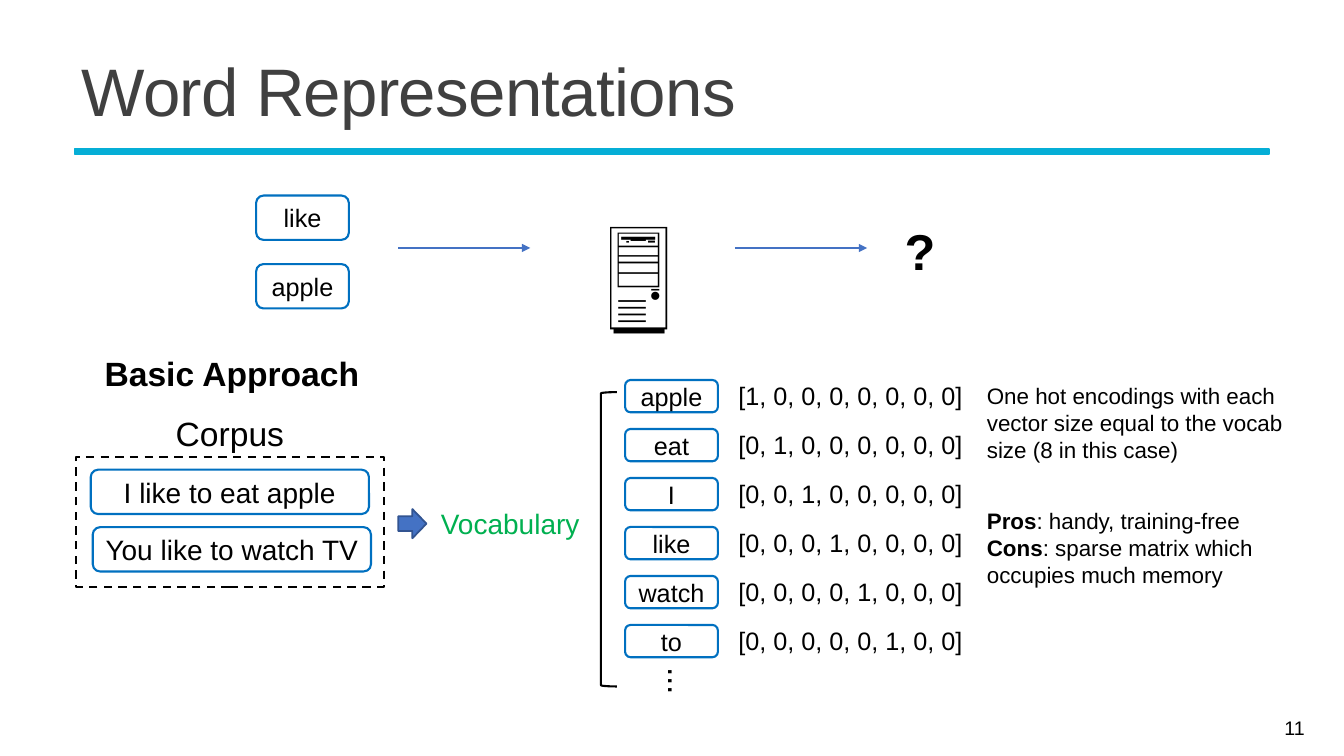
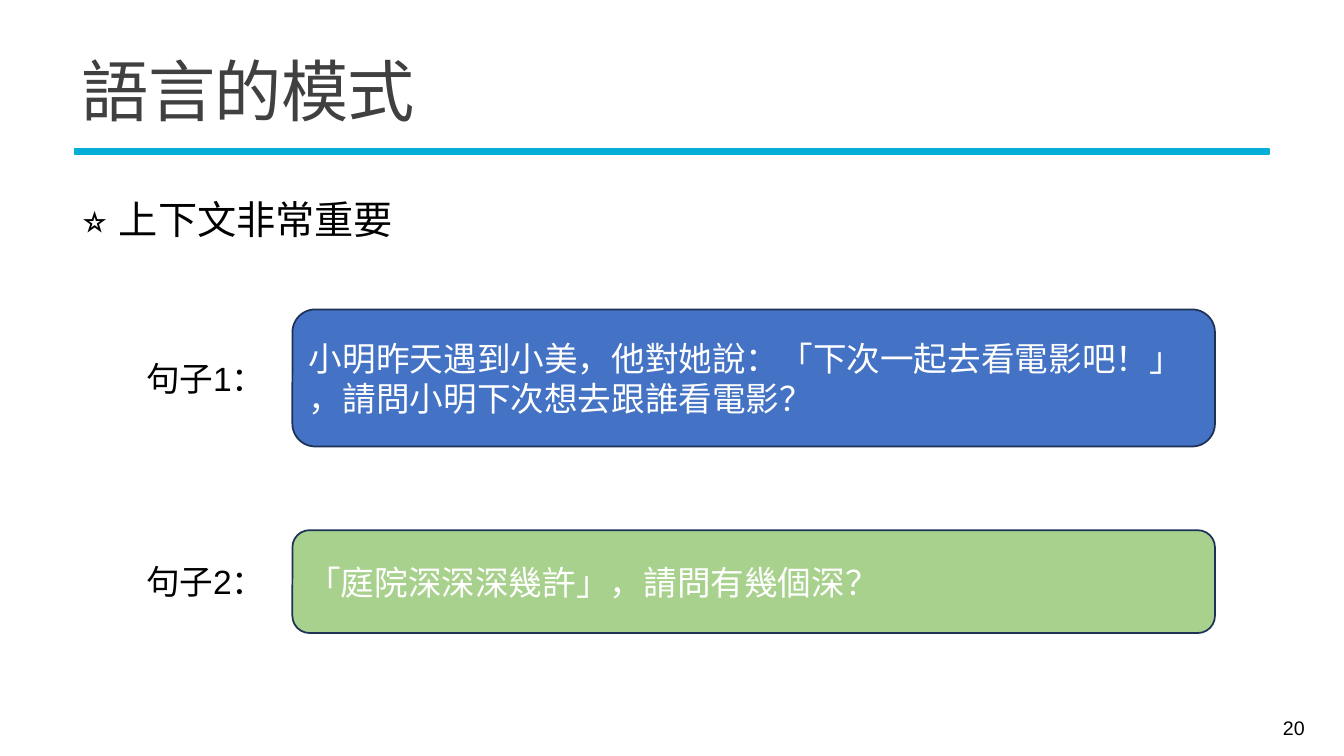
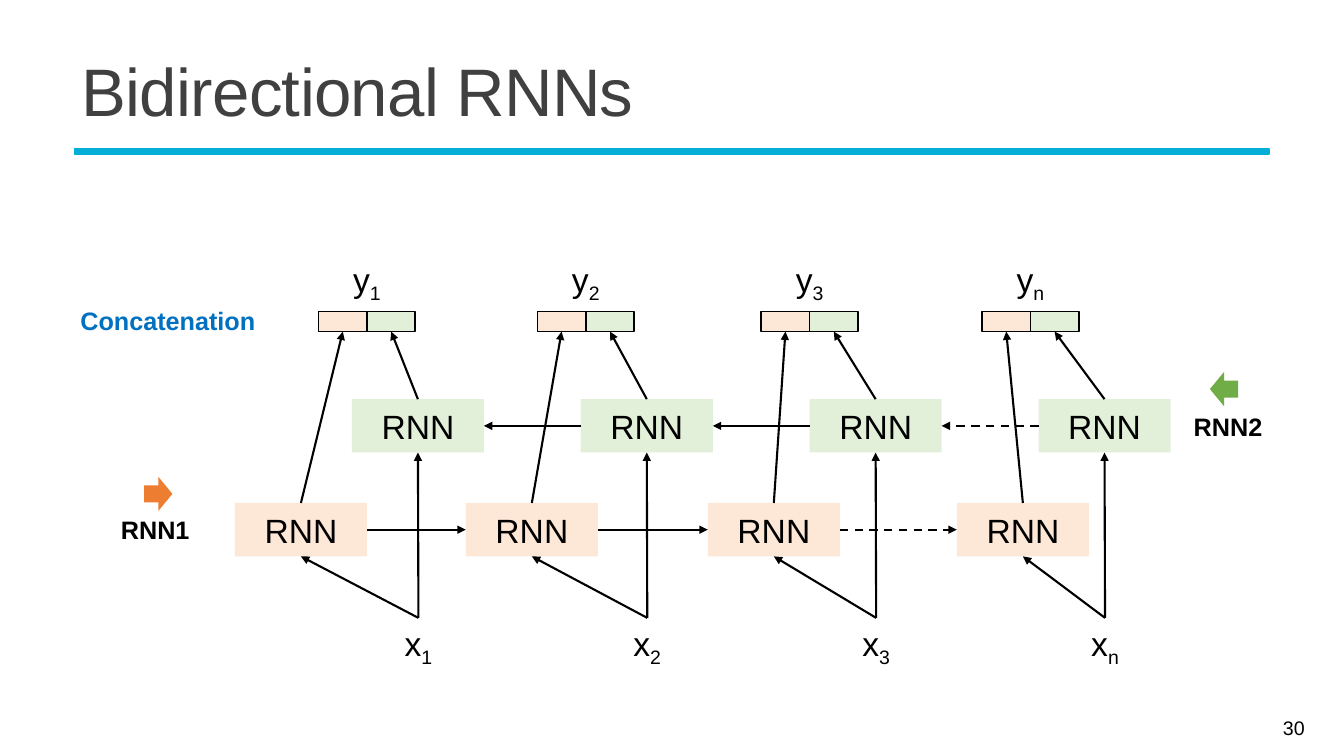
import lxml.etree
import pptx
import pptx.dml.color
import pptx.enum.dml
import pptx.enum.shapes
import pptx.enum.text
import pptx.oxml.ns
import pptx.util

Inches = pptx.util.Inches
Pt = pptx.util.Pt
RGB = pptx.dml.color.RGBColor.from_string
qn = pptx.oxml.ns.qn
KIND = pptx.enum.shapes.MSO_SHAPE
ALIGN = pptx.enum.text.PP_ALIGN
ANCHOR = pptx.enum.text.MSO_ANCHOR
FIT = pptx.enum.text.MSO_AUTO_SIZE
DASH = pptx.enum.dml.MSO_LINE.DASH
FONT = "Arial"
HUES = {
    "black": "000000", "white": "FFFFFF", "gray": "404040",
    "cyan": "05AED6", "blue": "0070C0", "steel": "4472C4",
    "edge": "325491", "navy": "1E3256", "lime": "A9D18E",
    "green": "00B050", "leaf": "70AD47", "orange": "ED7D31",
    "peach": "FDE7D7", "mint": "E2F0D9",
}


def box(slide, kind, at, text="", size=18, hue="black", bold=False,
        align=ALIGN.CENTER, fill=None, line=None, width=1.25):
    place = [Inches(n) for n in at]
    if kind == "title":
        shape = slide.shapes.title
        shape.left, shape.top, shape.width, shape.height = place
    elif kind == "text":
        shape = slide.shapes.add_textbox(*place)
    else:
        shape = slide.shapes.add_shape(kind, *place)
        shape.shadow.inherit = False
        if fill:
            shape.fill.solid()
            shape.fill.fore_color.rgb = RGB(HUES[fill])
        else:
            shape.fill.background()
        if line:
            shape.line.color.rgb = RGB(HUES[line])
            shape.line.width = Pt(width)
        else:
            shape.line.fill.background()
    if not text:
        return shape
    frame = shape.text_frame
    frame.word_wrap = True
    frame.auto_size = FIT.NONE
    frame.vertical_anchor = ANCHOR.TOP if kind == "text" else ANCHOR.MIDDLE
    frame.text = text
    for para in frame.paragraphs:
        para.alignment = align
        head, *rest = para.text.split("|")
        para.text = head
        for part in rest:
            para.add_run().text = part
        for run in para.runs:
            run.font.size = Pt(size)
            run.font.bold = bold
            run.font.color.rgb = RGB(HUES[hue])
            run.font.name = FONT
            props = run._r.get_or_add_rPr()
            lxml.etree.SubElement(props, qn("a:ea"), typeface=FONT)
    return shape


def link(slide, hue, start=(0, 0), end=(0, 0), dash=False):
    ends = [Inches(n) for n in (*start, *end)]
    wire = slide.shapes.add_connector(
        pptx.enum.shapes.MSO_CONNECTOR.STRAIGHT, *ends)
    wire.line.color.rgb = RGB(HUES[hue])
    wire.line.width = Pt(1.5)
    if dash:
        wire.line.dash_style = DASH
    lxml.etree.SubElement(wire.line._get_or_add_ln(), qn("a:tailEnd"), type="triangle")
    lxml.etree.SubElement(wire._element.spPr, qn("a:effectLst"))
    return wire


deck = pptx.Presentation()
deck.slide_width = Inches(13.33)
deck.slide_height = Inches(7.5)
slides = []
for name, page in (("Word Representations", "11"), ("語言的模式", "20"),
                   ("Bidirectional RNNs", "30")):
    slide = deck.slides.add_slide(deck.slide_layouts[5])
    box(slide, KIND.RECTANGLE, (0.74, 1.48, 11.85, 0.05), fill="cyan", line="cyan")
    title = box(slide, "title", (0.71, 0.39, 11.94, 1.13), name, 48, "gray",
                align=ALIGN.LEFT)
    para = title.text_frame.paragraphs[0]
    para.line_spacing = 0.85
    para.runs[0]._r.get_or_add_rPr().set("spc", "-50")
    foot = box(slide, "text", (11.61, 7.02, 1.43, 0.4), page, 14, align=ALIGN.RIGHT)
    foot.text_frame.vertical_anchor = ANCHOR.MIDDLE
    slides.append(slide)
words, modes, nets = slides

for at, text, size in (
    ((2.54, 1.94, 0.92, 0.44), "like", 18),
    ((2.54, 2.62, 0.92, 0.44), "apple", 18),
    ((0.9, 4.66, 2.76, 0.44), "I like to eat apple", 20),
    ((0.92, 5.23, 2.76, 0.44), "You like to watch TV", 20),
):
    box(words, KIND.ROUNDED_RECTANGLE, at, text, size, line="blue", width=1.5)
for left in (3.95, 7.29):
    link(words, "steel", (left, 2.46), (left + 1.31, 2.46))
for at, text, size, hue, bold in (
    ((5.38, 1.94, 1.92, 1.45), "🖥️", 80, "black", False),
    ((8.81, 2.13, 0.63, 0.71), "?", 36, "black", True),
    ((0.92, 3.45, 2.76, 0.5), "Basic Approach", 24, "black", True),
    ((0.9, 4.05, 2.76, 0.5), "Corpus", 24, "black", False),
    ((4.1, 4.98, 1.92, 0.44), "Vocabulary", 20, "green", False),
):
    box(words, "text", at, text, size, hue, bold)
frame = box(words, KIND.RECTANGLE, (0.75, 4.53, 3.06, 1.29), line="black", width=1.5)
frame.line.dash_style = DASH
box(words, KIND.RIGHT_ARROW, (3.95, 5.05, 0.28, 0.29), fill="steel", line="edge")
box(words, KIND.LEFT_BRACKET, (5.96, 3.89, 0.16, 2.92), line="black", width=1.5)

vocab = ("apple", "eat", "I", "like", "watch", "to")
pitch = (6.2 - 3.77) / (len(vocab) - 1)
for row, word in enumerate(vocab):
    top = 3.77 + row * pitch
    code = str([int(col == row) for col in range(8)])
    box(words, KIND.ROUNDED_RECTANGLE, (6.2, top, 0.92, 0.32), word,
        line="blue", width=1.5)
    box(words, "text", (7.18, top - 0.05, 2.51, 0.4), code)
dots = box(words, "text", (6.51, 6.51, 0.5, 0.5), "...", 24)
dots.rotation = 90
box(words, "text", (9.69, 3.74, 3.17, 0.91),
    "One hot encodings with each vector size equal to the vocab size (8 in this case)",
    16, align=ALIGN.LEFT)
notes = box(words, "text", (9.69, 4.98, 3, 0.91),
            "Pros|: handy, training-free\nCons|: sparse matrix which occupies much memory",
            16, align=ALIGN.LEFT)
for para in notes.text_frame.paragraphs:
    para.runs[0].font.bold = True

box(modes, "text", (0.71, 1.89, 6.67, 0.57), "⭐️ 上下文非常重要", 28, align=ALIGN.LEFT)
for label, text, top, height, fill in (
    ("句子1：", "小明昨天遇到小美，他對她說：「下次一起去看電影吧！」\n，請問小明下次想去跟誰看電影？",
     3.07, 1.36, "steel"),
    ("句子2：", "「庭院深深深幾許」，請問有幾個深？", 5.26, 1.02, "lime"),
):
    box(modes, KIND.ROUNDED_RECTANGLE, (2.9, top, 9.15, height), text, 24, "white",
        align=ALIGN.LEFT, fill=fill, line="navy")
    box(modes, "text", (1.35, top + height / 2 - 0.25, 1.55, 0.5), label, 24,
        align=ALIGN.LEFT)

lower, upper, wires = [], [], []
for col, (sub, left, cell) in enumerate((
    ("1", 2.33, 3.16), ("2", 4.62, 5.33), ("3", 7.02, 7.55), ("n", 9.49, 9.74),
)):
    right = 3.49 + col * 2.27
    ahead = box(nets, KIND.RECTANGLE, (left, 4.99, 1.31, 0.53), "RNN", 24, fill="peach")
    back = box(nets, KIND.RECTANGLE, (right, 3.96, 1.31, 0.53), "RNN", 24, fill="mint")
    half, rest = [
        box(nets, KIND.RECTANGLE, (cell + shift, 3.09, 0.48, 0.2), fill=fill, line="black")
        for shift, fill in ((0, "peach"), (0.48, "mint"))
    ]
    source = box(nets, "text", (right + 0.34, 6.13, 0.64, 0.5), "x|" + sub, 24)
    target = box(nets, "text", (cell + 0.16, 2.52, 0.64, 0.5), "y|" + sub, 24)
    for label in (source, target):
        run = label.text_frame.paragraphs[0].runs[1]
        run._r.get_or_add_rPr().set("baseline", "-25000")
    wires += [(source, 0, ahead, 2, False), (source, 0, back, 2, False),
              (ahead, 0, half, 2, False), (back, 0, rest, 2, False)]
    if col:
        wires += [(lower[-1], 3, ahead, 1, sub == "n"),
                  (back, 1, upper[-1], 3, sub == "n")]
    lower.append(ahead)
    upper.append(back)
for start, out, end, into, dash in wires:
    wire = link(nets, "black", dash=dash)
    wire.begin_connect(start, out)
    wire.end_connect(end, into)

box(nets, "text", (0.66, 2.98, 2.01, 0.4), "Concatenation", hue="blue", bold=True)
for text, left, top, tip, rise, fill, turn in (
    ("RNN1", 1.06, 5.05, 1.43, 4.73, "orange", 0),
    ("RNN2", 11.7, 4.03, 12, 3.69, "leaf", 180),
):
    box(nets, "text", (left, top, 0.96, 0.4), text, bold=True)
    arrow = box(nets, KIND.RIGHT_ARROW, (tip, rise, 0.28, 0.34), fill=fill)
    arrow.rotation = turn

deck.save("out.pptx")
